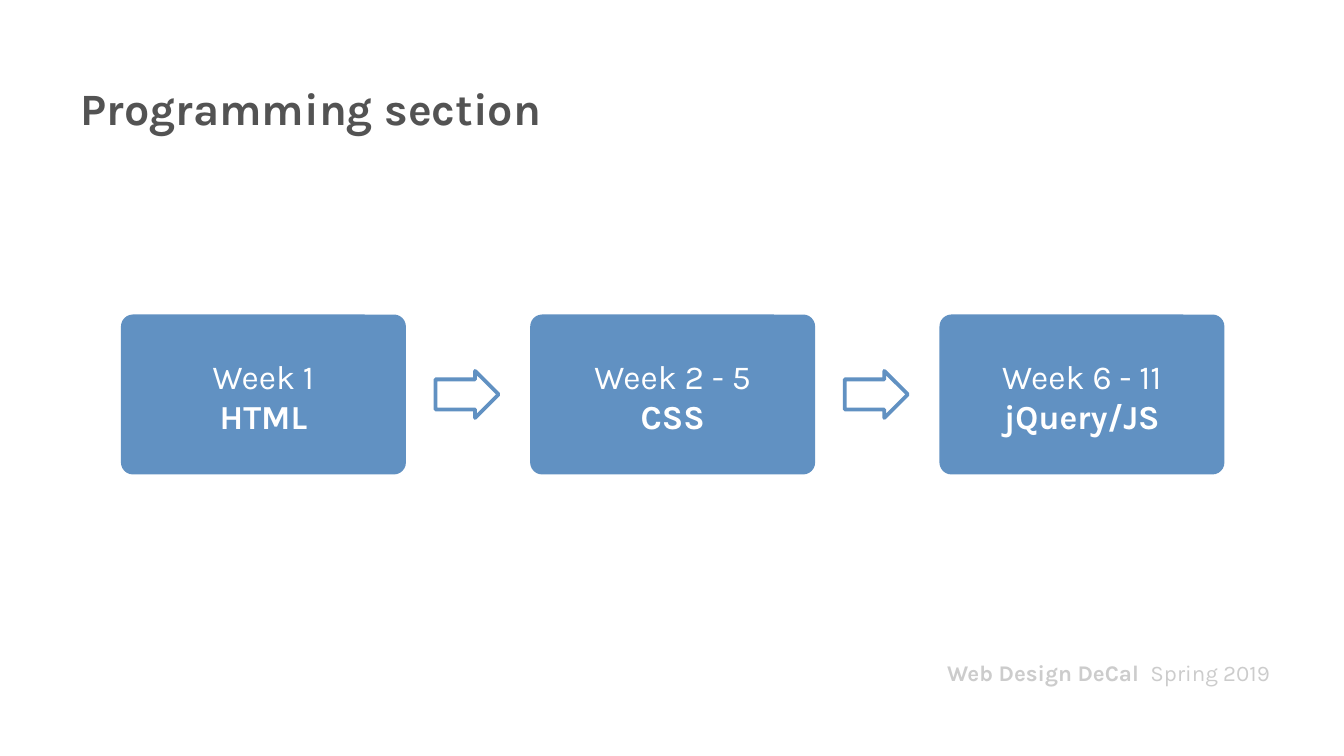
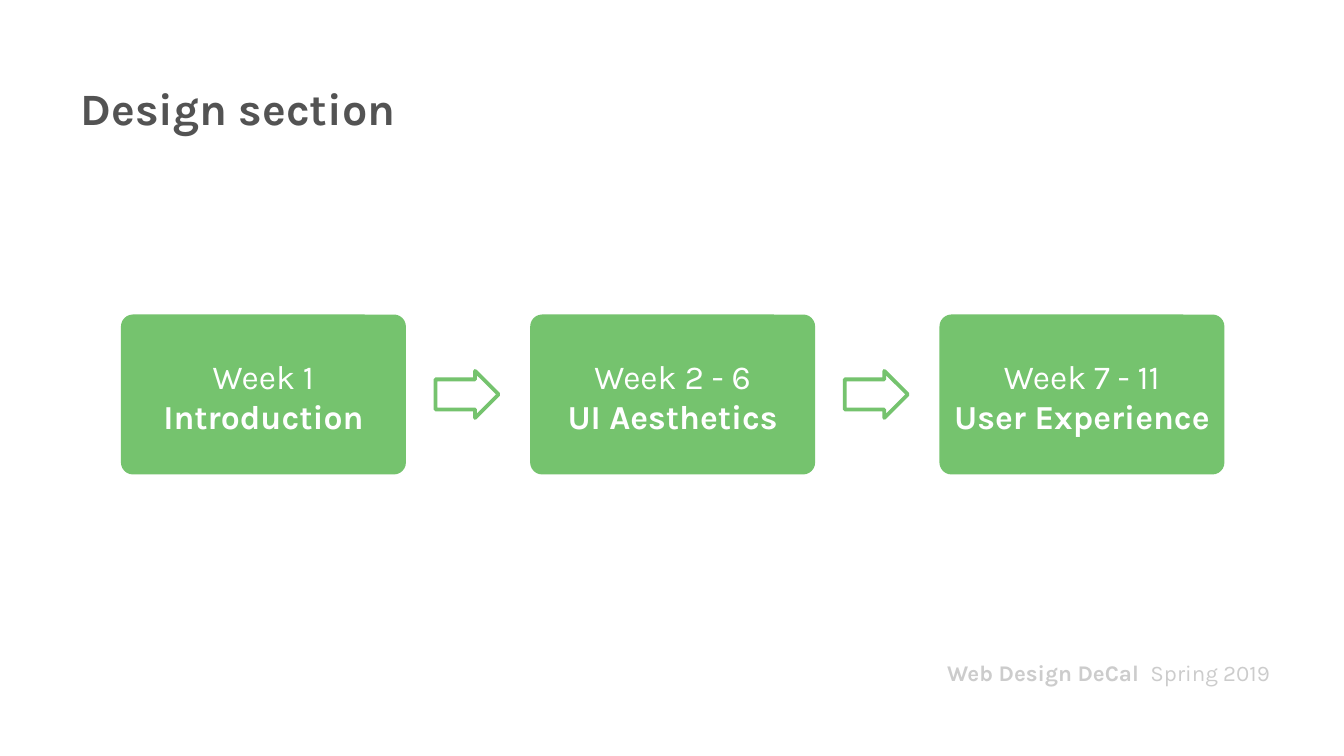
import dataclasses

import pptx
import pptx.dml.color
import pptx.enum.shapes
import pptx.enum.text
import pptx.util

PX = 4572
SHAPE = pptx.enum.shapes.MSO_SHAPE
ALIGN = pptx.enum.text.PP_ALIGN
ANCHOR = pptx.enum.text.MSO_ANCHOR
SIDES = ("left", "top", "right", "bottom")


@dataclasses.dataclass
class Theme:
    font: str = "Karla"
    white: str = "FFFFFF"
    ink: str = "535353"
    pale: str = "CCCCCC"
    blue: str = "6191C2"
    green: str = "75C36E"
    head: int = 24
    body: int = 18
    foot: int = 12
    line: int = 2


SECTIONS = [
    ("Programming section", "blue",
     [("Week 1", "HTML"), ("Week 2 - 5", "CSS"), ("Week 6 - 11", "jQuery/JS")]),
    ("Design section", "green",
     [("Week 1", "Introduction"), ("Week 2 - 6", "UI Aesthetics"),
      ("Week 7 - 11", "User Experience")]),
]


def px(*vals):
    return [pptx.util.Emu(v * PX) for v in vals]


def rgb(code):
    return pptx.dml.color.RGBColor.from_string(code)


def put(item, **vals):
    for name, val in vals.items():
        setattr(item, name, val)


class Deck:
    """Holds the style and the current slide, and draws each kind of element."""

    def __init__(self, theme):
        self.theme = theme
        self.prs = pptx.Presentation()
        wide, high = px(2000, 1125)
        put(self.prs, slide_width=wide, slide_height=high)
        self.layout = self.prs.slide_layouts.get_by_name("Title Only")
        self.slide = None

    def page(self):
        self.slide = self.prs.slides.add_slide(self.layout)

    def frame(self, shape, inset, anchor=ANCHOR.TOP):
        frame = shape.text_frame
        put(frame, word_wrap=True, vertical_anchor=anchor,
            auto_size=pptx.enum.text.MSO_AUTO_SIZE.NONE)
        put(frame, **{f"margin_{side}": px(inset)[0] for side in SIDES})
        return frame

    def label(self, para, text, size, color, bold=False):
        run = para.add_run()
        run.text = text
        put(run.font, name=self.theme.font, size=pptx.util.Pt(size), bold=bold)
        run.font.color.rgb = rgb(color)
        return run

    def title(self, text):
        shape = self.slide.shapes.title
        left, top, width, height = px(100, 100, 1800, 100)
        put(shape, left=left, top=top, width=width, height=height)
        para = self.frame(shape, 20).paragraphs[0]
        para.alignment = ALIGN.LEFT
        self.label(para, text, self.theme.head, self.theme.ink, True)

    def footer(self):
        box = self.slide.shapes.add_textbox(*px(1310, 976, 580, 50))
        para = self.frame(box, 0, ANCHOR.MIDDLE).paragraphs[0]
        para.alignment = ALIGN.RIGHT
        style = self.theme.foot, self.theme.pale
        self.label(para, "Web Design DeCal", *style, True)
        gap = self.label(para, " ", *style, True)
        gap._r.get_or_add_rPr().set("spc", "300")
        self.label(para, "Spring 2019", *style)
        self.layout.shapes.element.append(box.element)

    def shape(self, shapes, kind, area, fill, line=None, adjust=()):
        shape = shapes.add_shape(kind, *px(*area))
        shape.shadow.inherit = False
        shape.fill.solid()
        shape.fill.fore_color.rgb = rgb(fill)
        if line:
            shape.line.color.rgb = rgb(line)
            shape.line.width = pptx.util.Pt(self.theme.line)
        else:
            shape.line.fill.background()
        for spot, val in enumerate(adjust):
            shape.adjustments[spot] = val

    def card(self, left, lines, color):
        shapes = self.slide.shapes.add_group_shape().shapes
        self.shape(shapes, SHAPE.ROUNDED_RECTANGLE, (left, 468, 424, 238),
                   color, adjust=(0.075,))
        box = shapes.add_textbox(*px(left + 7, 520, 410, 106))
        frame = self.frame(box, 10)
        frame.add_paragraph()
        for row, (para, text) in enumerate(zip(frame.paragraphs, lines)):
            para.alignment = ALIGN.CENTER
            self.label(para, text, self.theme.body, self.theme.white, row == 1)

    def arrow(self, left, color):
        self.shape(self.slide.shapes, SHAPE.RIGHT_ARROW, (left, 552, 94, 70),
                   self.theme.white, color, (0.64, 0.5))


def main():
    deck = Deck(Theme())
    for page, (title, tint, steps) in enumerate(SECTIONS):
        color = getattr(deck.theme, tint)
        deck.page()
        if page == 0:
            deck.footer()
        deck.title(title)
        for step, lines in enumerate(steps):
            left = 180 + 609 * step
            deck.card(left, lines, color)
            if step < len(steps) - 1:
                deck.arrow(left + 468, color)
    deck.prs.save("out.pptx")


if __name__ == "__main__":
    main()
